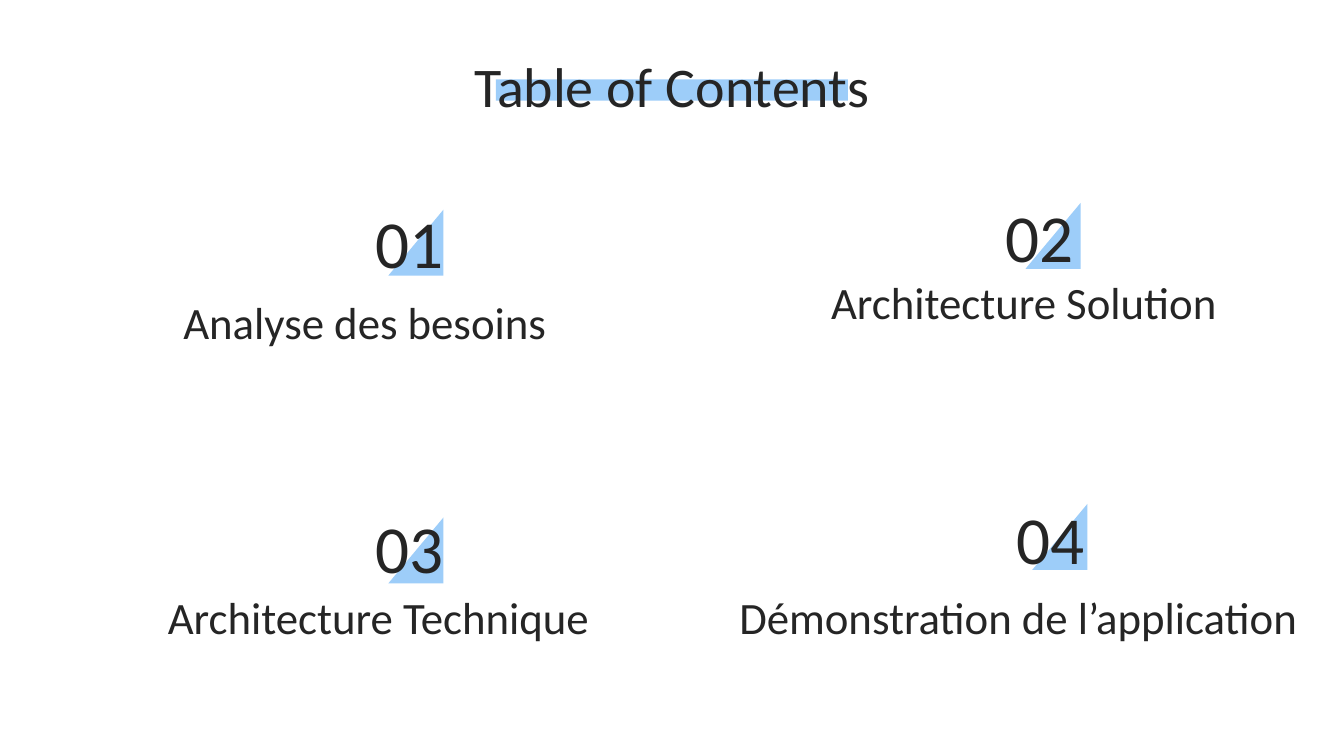
"""Build a table of contents slide with four numbered sections."""
from dataclasses import dataclass

from pptx import Presentation
from pptx.dml.color import RGBColor
from pptx.enum import shapes, text
from pptx.util import Pt


@dataclass(frozen=True)
class Theme:
    ink: RGBColor = RGBColor.from_string("252525")
    accent: RGBColor = RGBColor.from_string("9DCDF9")
    font: str = "Calibri"
    title: int = 30
    number: int = 36
    label: int = 24


theme = Theme()
ALIGN, ANCHOR, SHAPE = text.PP_ALIGN, text.MSO_ANCHOR, shapes.MSO_SHAPE


def add_accent(kind, box):
    s = slide.shapes.add_shape(kind, *map(Pt, box))
    s.shadow.inherit = False
    s.fill.solid()
    s.fill.fore_color.rgb = theme.accent
    s.line.fill.background()
    return s


def write(s, box, content, size, align, anchor):
    s.left, s.top, s.width, s.height = map(Pt, box)
    tf = s.text_frame
    tf.word_wrap = True
    tf.auto_size = text.MSO_AUTO_SIZE.NONE
    tf.vertical_anchor = anchor
    tf.margin_left = tf.margin_right = tf.margin_top = tf.margin_bottom = Pt(7.2)
    p = tf.paragraphs[0]
    p.alignment = align
    r = p.add_run()
    r.text = content
    r.font.size = Pt(size)
    r.font.name = theme.font
    r.font.color.rgb = theme.ink


prs = Presentation()
prs.slide_width, prs.slide_height = Pt(720), Pt(405)
slide = prs.slides.add_slide(prs.slide_layouts[5])

bar = add_accent(SHAPE.RECTANGLE, (265.7, 42.5, 188.6, 11.5))
title = slide.shapes.title
title._element.addprevious(bar._element)
write(title, (24.5, 20.2, 671, 45.4), "Table of Contents",
      theme.title, ALIGN.CENTER, ANCHOR.TOP)

sections = [
    ("Analyse des besoins", (208.1, 112.3),
     (64.8, 103, 180), (20.2, 148.3, 279.4, 45.4)),
    ("Architecture Solution", (549.4, 108.7),
     (446.4, 99.4, 136.1), (401, 143.3, 257.8, 39.6)),
    ("Architecture Technique", (208.1, 277.2),
     (142.6, 266.4, 102.2), (64.8, 312.5, 257.8, 39.6)),
    ("Démonstration de l’application", (553, 270),
     (408.2, 261.4, 180), (367.9, 306.7, 334.1, 45.4)),
]
for i, (label, corner, number_box, label_box) in enumerate(sections, 1):
    triangle = add_accent(SHAPE.RIGHT_TRIANGLE, (*corner, 29.5, 35.3))
    triangle._element.spPr.xfrm.set("flipH", "1")
    for content, box, size, anchor in (
        (label, label_box, theme.label, ANCHOR.BOTTOM),
        (f"{i:02d}", (*number_box, 53.3), theme.number, ANCHOR.MIDDLE),
    ):
        s = slide.shapes.add_textbox(*map(Pt, box))
        write(s, box, content, size, ALIGN.RIGHT, anchor)

prs.save("out.pptx")
